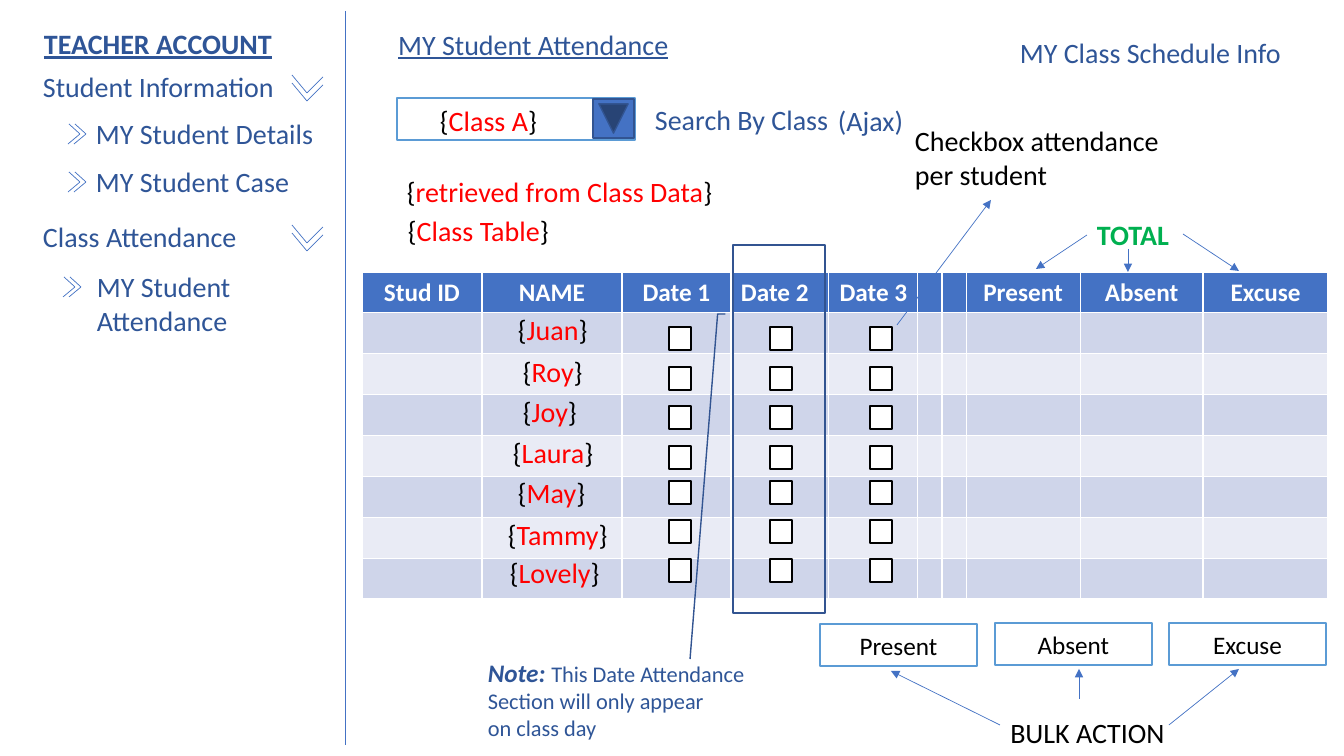
from lxml import etree
from pptx import Presentation
from pptx.dml.color import RGBColor
from pptx.enum.shapes import MSO_CONNECTOR, MSO_SHAPE
from pptx.enum.text import MSO_ANCHOR, MSO_AUTO_SIZE, PP_ALIGN
from pptx.oxml.ns import qn
from pptx.util import Pt

PX = 914400 / 100.8
FONT = "Calibri"
BLUE = RGBColor(0x44, 0x72, 0xC4)
DARK_BLUE = RGBColor(0x2F, 0x55, 0x97)
EDGE_BLUE = RGBColor(0x32, 0x54, 0x91)
LIGHT_BLUE = RGBColor(0x5B, 0x9B, 0xD5)
BAND_DARK = RGBColor(0xCF, 0xD5, 0xEA)
BAND_LIGHT = RGBColor(0xE9, 0xEB, 0xF5)
GREEN = RGBColor(0x00, 0xB0, 0x50)
RED = RGBColor(0xFF, 0x00, 0x00)
BLACK = RGBColor(0x00, 0x00, 0x00)
WHITE = RGBColor(0xFF, 0xFF, 0xFF)
LEFT, CENTER = PP_ALIGN.LEFT, PP_ALIGN.CENTER
TOP, MIDDLE = MSO_ANCHOR.TOP, MSO_ANCHOR.MIDDLE
NO_AUTOFIT = MSO_AUTO_SIZE.NONE
STRAIGHT = MSO_CONNECTOR.STRAIGHT
RECT = MSO_SHAPE.RECTANGLE
CALLOUT = MSO_SHAPE.LINE_CALLOUT_2
DROP_BUTTON = MSO_SHAPE.ACTION_BUTTON_BACK_OR_PREVIOUS


def add_line(shapes, ends, arrow=False):
    """Add a thin blue line between two points, with an optional arrowhead."""
    cx = shapes.add_connector(STRAIGHT, *[round(v * PX) for v in ends])
    cx.line.color.rgb = BLUE
    cx.line.width = Pt(0.5)
    if arrow:
        etree.SubElement(cx.line._get_or_add_ln(), qn("a:tailEnd"), type="triangle")
    etree.SubElement(cx._element.spPr, qn("a:effectLst"))


def add_runs(p, parts, size=20, bold=False):
    """Fill a paragraph with runs given as (text, colour) pairs."""
    for text, color in parts:
        r = p.add_run()
        r.text = text
        r.font.name = FONT
        r.font.size = Pt(size)
        r.font.bold = bold
        r.font.color.rgb = color


prs = Presentation()
prs.slide_width, prs.slide_height = round(1344 * PX), round(756 * PX)
s = prs.slides.add_slide(prs.slide_layouts[5])
shapes = s.shapes

# Page title
title = shapes.title
title.left, title.top, title.width, title.height = [round(v * PX) for v in (388, 22, 298, 44)]
tf = title.text_frame
tf.auto_size = NO_AUTOFIT
tf.vertical_anchor = TOP
tf.paragraphs[0].alignment = LEFT
add_runs(tf.paragraphs[0], [("MY Student Attendance", DARK_BLUE)])
tf.paragraphs[0].runs[0].font.underline = True

# Sidebar divider and menu chevrons
add_line(shapes, (345, 11, 345, 745))
for top in (75, 225):
    grp = shapes.add_group_shape()
    for y in (top, top + 8):
        add_line(grp.shapes, (323, y + 2, 307, y + 18))
        add_line(grp.shapes, (292, y, 307, y + 18))
for left, top in ((68, 124), (68, 172), (63, 277)):
    grp = shapes.add_group_shape()
    for x in (left, left + 6):
        add_line(grp.shapes, (x + 1, top, x + 12, top + 10))
        add_line(grp.shapes, (x, top + 20, x + 12, top + 10))

# Attendance table
headers = ["Stud ID", "NAME", "Date 1", "Date 2", "Date 3", "", "", "Present", "Absent", "Excuse"]
widths = [120, 140, 109, 98, 89, 24, 24, 114, 123, 125]
box = [round(v * PX) for v in (362, 272, sum(widths), 320)]
table = shapes.add_table(8, len(headers), *box).table
for col, width in zip(table.columns, widths):
    col.width = round(width * PX)
for i, row in enumerate(table.rows):
    row.height = round(40 * PX)
    for cell in row.cells:
        cell.fill.solid()
        cell.fill.fore_color.rgb = BLUE if i == 0 else BAND_DARK if i % 2 else BAND_LIGHT
for cell, header in zip(table.rows[0].cells, headers):
    if header:
        p = cell.text_frame.paragraphs[0]
        p.alignment = LEFT if header == "Date 2" else CENTER
        add_runs(p, [(header, WHITE)], 18, True)

# Arrow to the checkboxes, totals and bulk action arrows
for ends in [(897, 325, 991, 200),
             (1087, 235, 1036, 269), (1183, 234, 1239, 271), (1128, 249, 1128, 272),
             (1000, 725, 891, 671), (1169, 725, 1239, 669), (1079, 699, 1079, 669)]:
    add_line(shapes, ends, arrow=True)

# Class selector, attendance checkboxes, bulk buttons, dropdown and date callout
boxes = [(RECT, 397, 98, 238, 42, WHITE, LIGHT_BLUE, ""),
         (DROP_BUTTON, 594, 98, 39, 41, BLUE, EDGE_BLUE, "")]
boxes += [(RECT, x, y, 22, 23, WHITE, BLACK, "")
          for x in (669, 770, 870) for y in (327, 367, 406, 446, 481, 520, 559)]
boxes += [(RECT, 820, 624, 157, 42, WHITE, LIGHT_BLUE, "Present"),
          (RECT, 995, 623, 157, 42, WHITE, LIGHT_BLUE, "Absent"),
          (RECT, 1169, 623, 157, 42, WHITE, LIGHT_BLUE, "Excuse"),
          (CALLOUT, 733, 245, 92, 368, None, EDGE_BLUE, "")]
for kind, x, y, w, h, fill, edge, label in boxes:
    sp = shapes.add_shape(kind, *[round(v * PX) for v in (x, y, w, h)])
    sp.shadow.inherit = False
    if fill is None:
        sp.fill.background()
    else:
        sp.fill.solid()
        sp.fill.fore_color.rgb = fill
    sp.line.color.rgb = edge
    sp.line.width = Pt(1)
    if kind == DROP_BUTTON:
        sp.rotation = 270
    if label:
        sp.text_frame.vertical_anchor = MIDDLE
        p = sp.text_frame.paragraphs[0]
        p.alignment = CENTER
        add_runs(p, [(label, BLACK)], 18)

# Labels: text, left, top, width, height, colour, wrap
labels = [
    ("TEACHER ACCOUNT", 34, 22, 270, 44, DARK_BLUE, True),
    ("Student Information", 33, 65, 253, 44, DARK_BLUE, True),
    ("MY Student Details", 86, 112, 253, 44, DARK_BLUE, True),
    ("MY Student Case", 86, 160, 253, 44, DARK_BLUE, True),
    ("Class Attendance", 33, 215, 253, 44, DARK_BLUE, True),
    ("MY Student Attendance", 87, 265, 223, 78, DARK_BLUE, True),
    ("Search By Class", 645, 98, 196, 44, DARK_BLUE, False),
    ("(Ajax)", 828, 99, 87, 44, DARK_BLUE, False),
    ("MY Class Schedule Info", 1010, 31, 284, 44, DARK_BLUE, False),
    ("Checkbox attendance per student", 905, 119, 278, 78, BLACK, True),
    ("TOTAL", 1087, 213, 101, 44, GREEN, True),
    ("BULK ACTION", 947, 711, 281, 44, BLACK, True),
]
# Values in braces come from the class data
data_fields = [
    ("Class A", 430, 99, 118), ("retrieved from Class Data", 397, 170, 329),
    ("Class Table", 398, 209, 162),
    ("Juan", 508, 308, 91), ("Roy", 513, 350, 81), ("Joy", 513, 390, 75),
    ("Laura", 503, 431, 101), ("May", 508, 471, 88), ("Tammy", 498, 513, 121),
    ("Lovely", 500, 551, 111),
]
labels += [(name, x, y, w, 44, RED, False) for name, x, y, w in data_fields]
for text, x, y, w, h, color, wrap in labels:
    tf = shapes.add_textbox(*[round(v * PX) for v in (x, y, w, h)]).text_frame
    tf.word_wrap = wrap
    p = tf.paragraphs[0]
    parts = [(text, color)]
    if color == RED:
        parts = [("{", BLACK), (text, RED), ("}", BLACK)]
    add_runs(p, parts, bold=text in ("TEACHER ACCOUNT", "TOTAL"))
    if text == "TEACHER ACCOUNT":
        p.runs[0].font.underline = True
    if text == "BULK ACTION":
        p.alignment = CENTER

# Note on the date column
tf = shapes.add_textbox(*[round(v * PX) for v in (478, 652, 280, 95)]).text_frame
tf.word_wrap = False
p = tf.paragraphs[0]
add_runs(p, [("Note: ", DARK_BLUE)], 18, True)
p.runs[0].font.italic = True
add_runs(p, [("This Date Attendance", DARK_BLUE)], 16)
for text in ("Section will only appear", "on class day"):
    add_runs(tf.add_paragraph(), [(text, DARK_BLUE)], 16)

prs.save("out.pptx")
